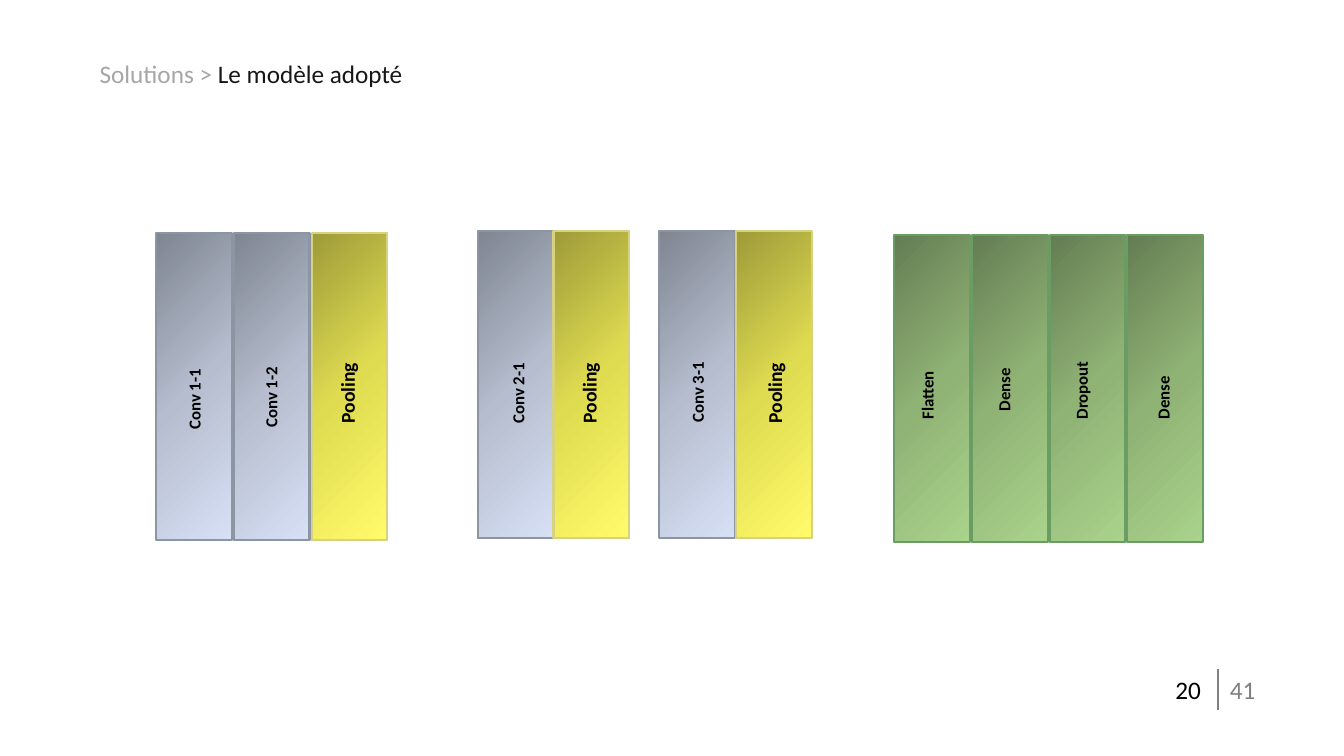
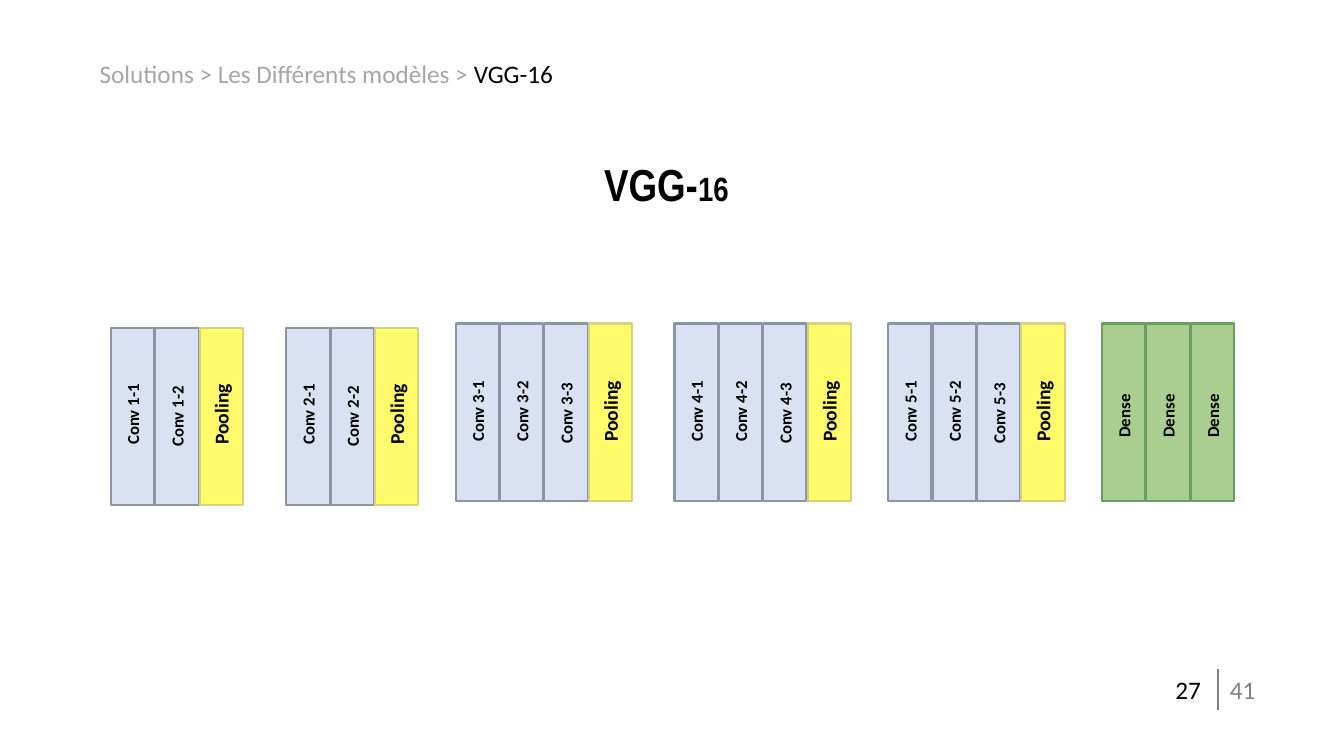
"""Build two slides that show convolutional network layers as coloured blocks."""
import copy

import pptx
import pptx.dml.color
import pptx.enum.shapes
import pptx.enum.text
import pptx.oxml
import pptx.oxml.ns
import pptx.util

PX = 9144
COLOURS = {
    "black": "000000", "ink": "181717", "trail": "A6A6A6", "grey": "808080",
    "conv": "D9E1F3", "pool": "FFFB6B", "dense": "AACE90",
    "conv_line": "8C96A3", "pool_line": "D7D280", "dense_line": "6A9D64",
}
GRADIENTS = {
    "conv": ("7F8591", "B5BDCE", "D7E0F5"),
    "pool": ("9E9B39", "E0DC51", "FFFB6B"),
    "dense": ("647D53", "8FB275", "A9D38B"),
}
BODY = {"name": "Calibri", "size": pptx.util.Pt(18)}
LABEL = {"name": "Calibri", "size": pptx.util.Pt(12), "bold": True}
POOL_LABEL = {**LABEL, "size": pptx.util.Pt(14)}
TITLE = {"name": "Arial Narrow", "size": pptx.util.Pt(32), "bold": True}
TITLE_SMALL = {**TITLE, "size": pptx.util.Pt(24)}
LABEL_LENGTH = 140


def conv_block(number, count):
    """Return the layers of one block: its convolutions, then a pooling."""
    convs = [("conv", f"Conv {number}-{i}", 0, 2 if i == count else 0)
             for i in range(1, count + 1)]
    return convs + [("pool", "Pooling", 0, 0)]


# group: left, top, pitch, label start, layers (kind, text, label shift x, y)
SLIDES = [
    {
        "number": "20", "trail": "Solutions > ", "current": "Le modèle adopté",
        "current_colour": "ink", "title": [], "gradient": True, "size": (75, 305),
        "groups": [
            (155, 231, 77, 436, [("conv", "Conv 1-1", 0, 0),
                                 ("conv", "Conv 1-2", -1, -2),
                                 ("pool", "Pooling", -2, -6)]),
            (474, 229, 75, 430, [("conv", "Conv 2-1", 2, 0),
                                 ("pool", "Pooling", -2, 0)]),
            (654, 229, 76, 429, [("conv", "Conv 3-1", 0, 0),
                                 ("pool", "Pooling", 1, 1)]),
            (887, 233, 77, 426, [("dense", "Flatten", -5, 0),
                                 ("dense", "Dense", -6, -8),
                                 ("dense", "Dropout", -6, 0),
                                 ("dense", "Dense", -2, 0)]),
        ],
    },
    {
        "number": "27", "trail": "Solutions > Les Différents modèles > ",
        "current": "VGG-16", "current_colour": "black",
        "title": [("VGG-", "black", TITLE), ("16", "black", TITLE_SMALL)],
        "gradient": False, "size": (43, 176),
        "groups": [
            (110, 325, 44, 451, conv_block(1, 2)),
            (284, 325, 44, 451, conv_block(2, 2)),
            (452, 321, 44, 448, conv_block(3, 3)),
            (669, 321, 44, 448, conv_block(4, 3)),
            (881, 321, 44, 448, conv_block(5, 3)),
            (1093, 321, 44, 444, [("dense", "Dense", 0, 0)] * 3),
        ],
    },
]


def emu(*lengths):
    """Turn px lengths into EMU."""
    return [round(length * PX) for length in lengths]


def rgb(value):
    """Turn a hex string into a colour."""
    return pptx.dml.color.RGBColor.from_string(value)


def add_text(shapes, area, spans, rotation=0):
    """Add a wrapped text box of one paragraph."""
    box = shapes.add_textbox(*emu(*area))
    box.rotation = rotation
    box.text_frame.word_wrap = True
    para = box.text_frame.paragraphs[0]
    for text, colour, font in spans:
        span = para.add_run()
        span.text = text
        span.font.color.rgb = rgb(COLOURS[colour])
        for key, value in font.items():
            setattr(span.font, key, value)
    return box


def paint_gradient(block, colours):
    """Fill a block with a diagonal gradient of three colours."""
    block.fill.gradient()
    block.fill.gradient_angle = 315
    stops = next(block._element.iter(pptx.oxml.ns.qn("a:gsLst")))
    stops.insert(1, copy.deepcopy(stops[0]))
    for i, (stop, colour) in enumerate(zip(block.fill.gradient_stops, colours)):
        stop.position = i / 2
        stop.color.rgb = rgb(colour)


def add_layer(shapes, area, kind, gradient):
    """Add the rectangle of one layer."""
    block = shapes.add_shape(pptx.enum.shapes.MSO_SHAPE.RECTANGLE, *emu(*area))
    block.shadow.inherit = False
    if gradient:
        paint_gradient(block, GRADIENTS[kind])
    else:
        block.fill.solid()
        block.fill.fore_color.rgb = rgb(COLOURS[kind])
    block.line.color.rgb = rgb(COLOURS[kind + "_line"])
    block.line.width = pptx.util.Pt(1.5)


def add_group(page, group, size, gradient):
    """Add a row of touching layers with upright labels."""
    left, top, pitch, start, layers = group
    width, height = size
    shapes = page.shapes.add_group_shape().shapes
    for i, (kind, text, shift_x, shift_y) in enumerate(layers):
        x = left + i * pitch
        add_layer(shapes, (x, top, width, height), kind, gradient)
        font, thickness = (POOL_LABEL, 34) if kind == "pool" else (LABEL, 30)
        middle_x = x + width / 2 + shift_x
        middle_y = start + shift_y - LABEL_LENGTH / 2
        area = (middle_x - LABEL_LENGTH / 2, middle_y - thickness / 2,
                LABEL_LENGTH, thickness)
        add_text(shapes, area, [(text, "black", font)], rotation=270)


def add_frame(page, content):
    """Add the breadcrumb and the page counter."""
    add_text(page.shapes, (89, 53, 814, 40),
             [(content["trail"], "trail", BODY),
              (content["current"], content["current_colour"], BODY)])
    add_text(page.shapes, (1156, 664, 54, 40), [(content["number"], "black", BODY)])
    add_text(page.shapes, (1210, 664, 54, 40), [("41", "grey", BODY)])
    divider = page.shapes.add_connector(
        pptx.enum.shapes.MSO_CONNECTOR.STRAIGHT, *emu(1208, 664, 1208, 704))
    divider.line.color.rgb = rgb(COLOURS["grey"])
    divider.line.width = pptx.util.Pt(1.5)
    divider._element.spPr.append(pptx.oxml.parse_xml(
        f"<a:effectLst {pptx.oxml.ns.nsdecls('a')}/>"))


def add_title(page, spans):
    """Add the centred title."""
    box = add_text(page.shapes, (46, 156, 1230, 59), spans)
    box.text_frame.vertical_anchor = pptx.enum.text.MSO_ANCHOR.MIDDLE
    para = box.text_frame.paragraphs[0]
    para.alignment = pptx.enum.text.PP_ALIGN.CENTER
    para.line_spacing = 0.9


def main():
    """Build and save the deck."""
    deck = pptx.Presentation()
    deck.slide_width, deck.slide_height = emu(1333, 750)
    for content in SLIDES:
        page = deck.slides.add_slide(deck.slide_layouts[6])
        if content["title"]:
            add_title(page, content["title"])
        add_frame(page, content)
        for group in content["groups"]:
            add_group(page, group, content["size"], content["gradient"])
    deck.save("out.pptx")


if __name__ == "__main__":
    main()
